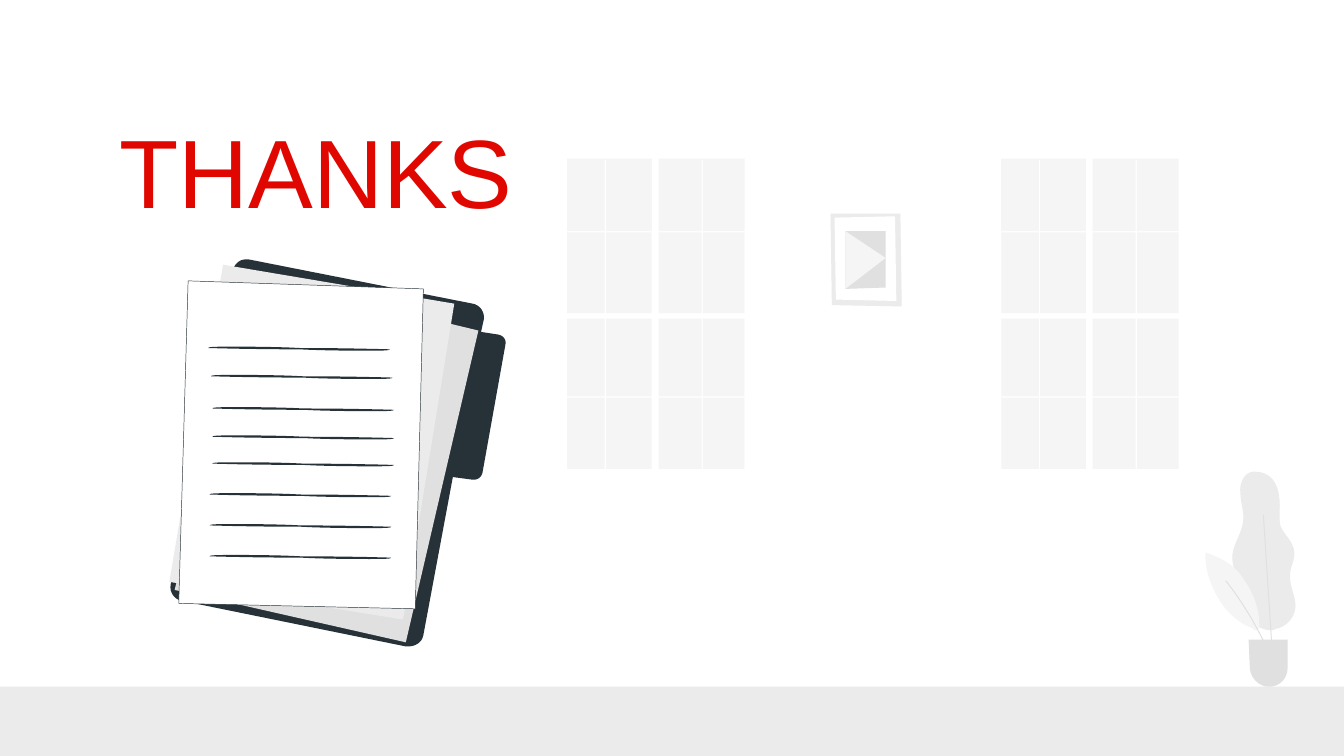
from pptx import Presentation
from pptx.dml.color import RGBColor
from pptx.enum.shapes import MSO_CONNECTOR, MSO_SHAPE
from pptx.enum.text import MSO_ANCHOR, PP_ALIGN
from pptx.oxml.ns import qn
from pptx.util import Inches, Pt
from lxml import etree

RECTANGLE = MSO_SHAPE.RECTANGLE
STRAIGHT = MSO_CONNECTOR.STRAIGHT
MIDDLE = MSO_ANCHOR.MIDDLE
LEFT = PP_ALIGN.LEFT
CURVE_STEPS = 8

COLORS = {
    "white": "FFFFFF",
    "pale": "F5F5F5",
    "light": "EBEBEB",
    "gray": "E0E0E0",
    "ink": "263238",
    "red": "E00700",
}

presentation = Presentation()
presentation.slide_width = Inches(10)
presentation.slide_height = Inches(10 * 9 / 16)
slide = presentation.slides.add_slide(presentation.slide_layouts[6])


def paint(shape, color):
    shape.shadow.inherit = False
    shape.fill.solid()
    shape.fill.fore_color.rgb = RGBColor.from_string(COLORS[color])
    shape.line.fill.background()
    return shape


def draw(color, start, *segments, origin=(0, 0), closed=True):
    points = [start]
    for segment in segments:
        if len(segment) == 2:
            points.append(segment)
            continue
        x0, y0 = points[-1]
        x1, y1, x2, y2, x3, y3 = segment
        for step in range(1, CURVE_STEPS + 1):
            t = step / CURVE_STEPS
            a, b, c, d = (1 - t) ** 3, 3 * t * (1 - t) ** 2, 3 * t * t * (1 - t), t ** 3
            points.append((a * x0 + b * x1 + c * x2 + d * x3,
                           a * y0 + b * y1 + c * y2 + d * y3))
    places = [(Inches(x + origin[0]), Inches(y + origin[1])) for x, y in points]
    builder = slide.shapes.build_freeform(*places[0], scale=1.0)
    builder.add_line_segments(places[1:], close=closed)
    return paint(builder.convert_to_shape(), color)


floor_top = Inches(5.11)
floor = slide.shapes.add_shape(RECTANGLE, 0, floor_top, presentation.slide_width,
                               presentation.slide_height - floor_top)
paint(floor, "light")

draw("light", (6.7, 1.59), (6.18, 1.59), (6.19, 2.27), (6.71, 2.28))
draw("white", (6.66, 1.61), (6.21, 1.62), (6.22, 2.23), (6.67, 2.24))
draw("gray", (6.29, 1.72), (6.29, 2.15), (6.59, 2.14), (6.59, 1.72))
draw("pale", (6.29, 1.72), (6.29, 2.15), (6.59, 1.92))

pane_columns = [(0, 0.28), (0.29, 0.63), (0.68, 1), (1.01, 1.32)]
pane_rows = [(1.73, 2.33), (2.37, 2.95), (2.96, 3.49)]
for window_left in (4.22, 7.45):
    for first, second in (pane_columns[:2], pane_columns[2:]):
        draw("pale", (first[0], 1.18), (first[0], 1.72), (first[1], 1.72),
             (first[1], 1.19), (second[0], 1.19), (second[0], 1.72),
             (second[1], 1.72), (second[1], 1.18), origin=(window_left, 0))
    for top, bottom in pane_rows:
        for left, right in pane_columns:
            pane = slide.shapes.add_shape(
                RECTANGLE, Inches(window_left + left), Inches(top),
                Inches(right - left), Inches(bottom - top))
            paint(pane, "pale")

draw("light", (9.34, 3.51), (9.33, 3.51, 9.32, 3.51, 9.32, 3.51),
     (9.25, 3.52, 9.22, 3.61, 9.23, 3.67), (9.23, 3.74, 9.26, 3.81, 9.25, 3.88),
     (9.24, 3.97, 9.18, 4.04, 9.17, 4.13), (9.16, 4.23, 9.23, 4.32, 9.25, 4.42),
     (9.26, 4.47, 9.26, 4.52, 9.28, 4.57), (9.31, 4.64, 9.38, 4.69, 9.46, 4.69),
     (9.47, 4.69, 9.48, 4.69, 9.49, 4.68), (9.57, 4.67, 9.64, 4.59, 9.64, 4.51),
     (9.64, 4.43, 9.59, 4.35, 9.6, 4.27), (9.6, 4.22, 9.64, 4.16, 9.63, 4.1),
     (9.62, 4.03, 9.56, 3.98, 9.53, 3.92), (9.51, 3.85, 9.53, 3.78, 9.52, 3.71),
     (9.51, 3.59, 9.45, 3.51, 9.34, 3.51))
draw("pale", (8.97, 4.11), (8.96, 4.23, 9.01, 4.36, 9.07, 4.46),
     (9.13, 4.56, 9.22, 4.64, 9.33, 4.68), (9.33, 4.69, 9.34, 4.69, 9.35, 4.69),
     (9.35, 4.69, 9.36, 4.69, 9.36, 4.68), (9.37, 4.68, 9.37, 4.67, 9.37, 4.66),
     (9.37, 4.53, 9.33, 4.42, 9.26, 4.32), (9.2, 4.22, 9.13, 4.17, 8.97, 4.11))
curved_stem = draw("gray", (9.12, 4.32), (9.18, 4.4),
                   (9.28, 4.54, 9.36, 4.68, 9.43, 4.83), (9.47, 4.92), closed=False)
curved_stem.fill.background()
straight_stem = slide.shapes.add_connector(
    STRAIGHT, Inches(9.4), Inches(3.83), Inches(9.47), Inches(4.91))
etree.SubElement(straight_stem._element.spPr, qn("a:effectLst"))
for stem in (curved_stem, straight_stem):
    stem.line.color.rgb = RGBColor.from_string(COLORS["gray"])
    stem.line.width = Pt(0.5)
draw("gray", (9.29, 4.76), (9.3, 4.98), (9.31, 5.05, 9.37, 5.11, 9.44, 5.11),
     (9.52, 5.11, 9.58, 5.05, 9.58, 4.97), (9.58, 4.76))

draw("ink", (1.83, 1.93), (1.78, 1.93, 1.74, 1.97, 1.73, 2.02), (1.27, 4.35),
     (1.26, 4.41, 1.3, 4.46, 1.35, 4.47), (3.02, 4.81),
     (3.03, 4.81, 3.04, 4.81, 3.04, 4.81), (3.09, 4.81, 3.14, 4.78, 3.15, 4.73),
     (3.37, 3.55), (3.52, 3.57), (3.56, 3.57, 3.58, 3.55, 3.59, 3.52),
     (3.76, 2.57), (3.77, 2.53, 3.75, 2.5, 3.71, 2.49), (3.58, 2.47),
     (3.6, 2.38), (3.61, 2.32, 3.57, 2.27, 3.52, 2.26), (1.85, 1.93))
draw("gray", (1.86, 2.05), (1.3, 4.39), (3.02, 4.78), (3.56, 2.46))
draw("light", (1.66, 1.97), (1.26, 4.33), (3, 4.61), (3.38, 2.26))
sheet = draw("white", (1.4, 2.09), (1.33, 4.49), (3.09, 4.53), (3.15, 2.15))
sheet.line.color.rgb = RGBColor.from_string(COLORS["ink"])
sheet.line.width = Pt(0.25)

written_lines = [(1.55, 2.58), (1.57, 2.79), (1.58, 3.03), (1.58, 3.24),
                 (1.58, 3.44), (1.56, 3.67), (1.56, 3.9), (1.56, 4.13)]
for position in written_lines:
    draw("ink", (0.18, 0), (0.07, 0, 0, 0, 0, 0.01),
         (0, 0.01, 0.31, 0.02, 0.68, 0.02), (0.88, 0.03, 1.06, 0.03, 1.19, 0.03),
         (1.29, 0.03, 1.35, 0.03, 1.35, 0.02), (1.35, 0.02, 1.05, 0.01, 0.68, 0.01),
         (0.48, 0, 0.3, 0, 0.18, 0), origin=position)

title = slide.shapes.add_textbox(Inches(0.79), Inches(0.59), Inches(3.29), Inches(1.34))
frame = title.text_frame
frame.word_wrap = True
frame.vertical_anchor = MIDDLE
frame.margin_left = frame.margin_right = Inches(0.1)
frame.margin_top = frame.margin_bottom = Inches(0.1)
paragraph = frame.paragraphs[0]
paragraph.alignment = LEFT
run = paragraph.add_run()
run.text = "THANKS"
run.font.name = "Arial"
run.font.size = Pt(52)
run.font.color.rgb = RGBColor.from_string(COLORS["red"])

presentation.save("out.pptx")
